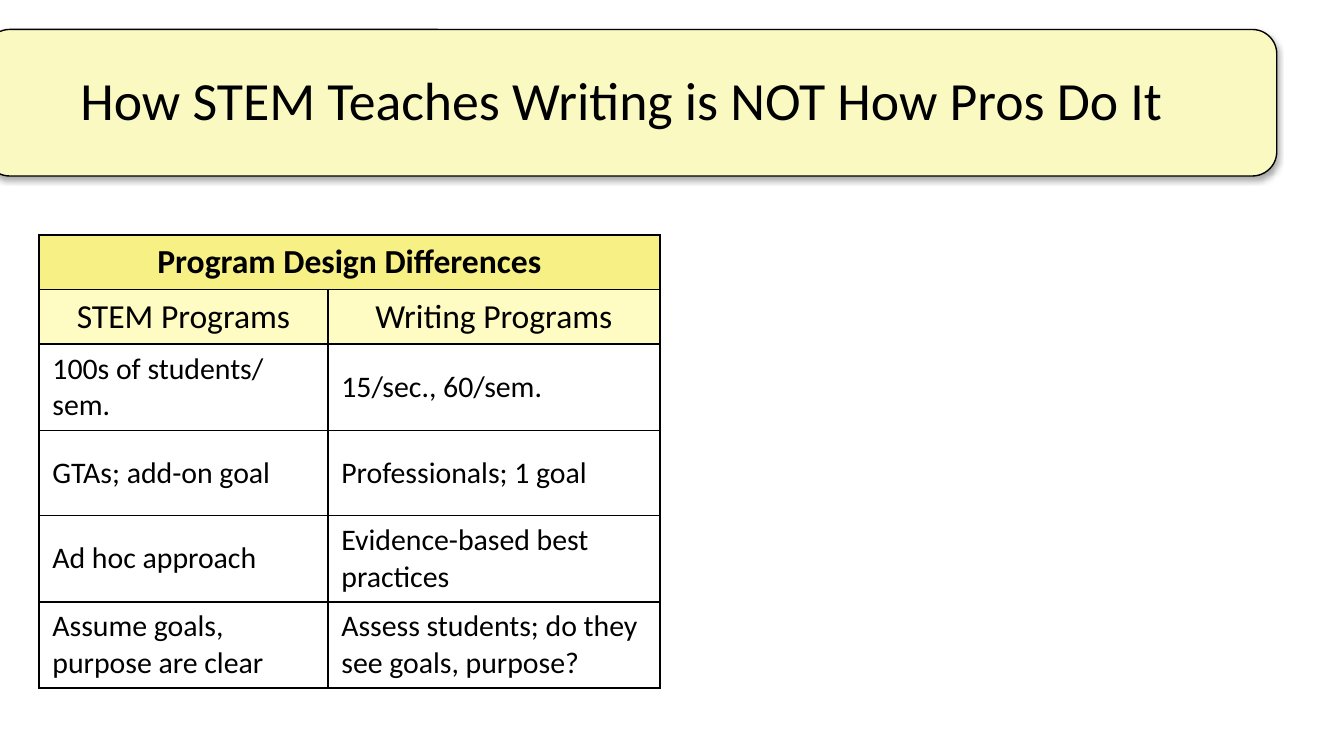
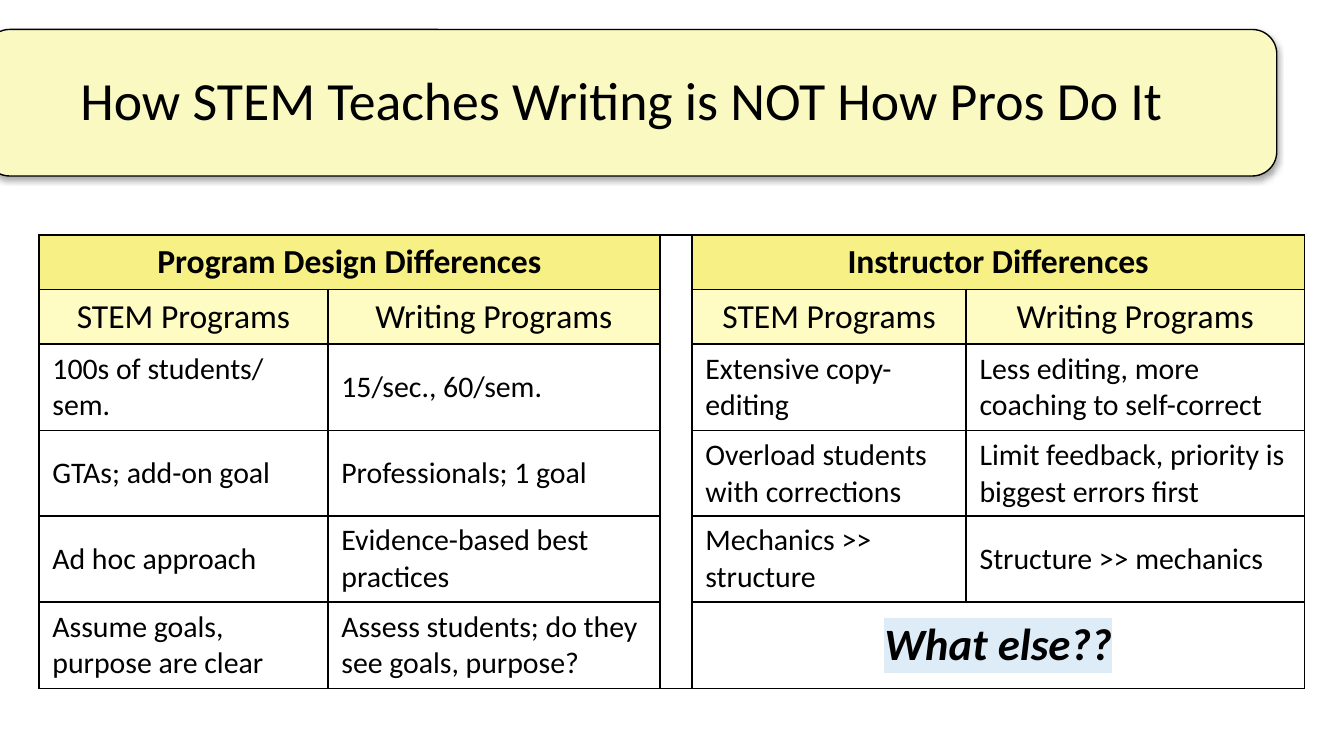
"""Build two slides comparing how STEM and writing programs teach writing."""
from lxml.etree import fromstring
from pptx import Presentation
from pptx.dml.color import RGBColor as Rgb
from pptx.enum.shapes import MSO_SHAPE as Form
from pptx.enum.text import MSO_ANCHOR as Anchor, PP_ALIGN as Align
from pptx.oxml.ns import nsdecls, qn
from pptx.util import Pt

TITLE = "How STEM Teaches Writing is NOT How Pros Do It"
HEADS = ("STEM Programs", "Writing Programs")
DESIGN = [
    ("Program Design Differences", None),
    HEADS,
    ("100s of students/ sem.", "15/sec., 60/sem."),
    ("GTAs; add-on goal", "Professionals; 1 goal"),
    ("Ad hoc approach", "Evidence-based best practices"),
    ("Assume goals, purpose are clear",
     "Assess students; do they see goals, purpose?"),
]
TEACH = [
    ("Instructor Differences", None),
    HEADS,
    ("Extensive copy-editing", "Less editing, more coaching to self-correct"),
    ("Overload students with corrections",
     "Limit feedback, priority is biggest errors first"),
    ("Mechanics >> structure", "Structure >> mechanics"),
    ("What else??", None),
]
BOTH = [left + ("",) + right for left, right in zip(DESIGN, TEACH)]
WIDTHS = (154.8, 177.8, 16.8, 146.9, 181.2)
HEIGHTS = (29.2, 29.2, 46.3, 45.4, 46.3, 46.3)
GAP = 2

FONT = "Calibri"
BLACK = Rgb(0x00, 0x00, 0x00)
WHITE = Rgb(0xFF, 0xFF, 0xFF)
BAND = Rgb(0xFA, 0xF9, 0xC2)
GOLD = Rgb(0xF7, 0xF0, 0x85)
CREAM = Rgb(0xFE, 0xFC, 0xC2)
MARK = Rgb(0xDE, 0xEC, 0xF7)
FILLS = {0: GOLD, 1: CREAM}


def add_run(para, text, size, bold=False, ital=False):
    run = para.add_run()
    run.text = text
    font = run.font
    font.name, font.size = FONT, Pt(size)
    font.bold, font.italic = bold, ital
    font.color.rgb = BLACK
    return run


def mark(run):
    fill = run._r.get_or_add_rPr().find(qn("a:solidFill"))
    fill.addnext(fromstring(
        f'<a:highlight {nsdecls("a")}><a:srgbClr val="{MARK}"/></a:highlight>'))


def add_band(slide):
    band = slide.shapes.add_shape(
        Form.ROUNDED_RECTANGLE, Pt(-7.9), Pt(15.8), Pt(691.9), Pt(78.5))
    band.fill.solid()
    band.fill.fore_color.rgb = BAND
    band.line.color.rgb = BLACK
    band.line.width = Pt(0.75)
    band.shadow.inherit = False
    band._element.spPr.find(qn("a:effectLst")).append(fromstring(
        f'<a:outerShdw {nsdecls("a")} blurRad="{Pt(3.1)}" dist="{Pt(1.8)}" '
        f'dir="5400000" rotWithShape="0"><a:srgbClr val="{BLACK}">'
        '<a:alpha val="35000"/></a:srgbClr></a:outerShdw>'))


def add_title(slide):
    box = slide.shapes.add_textbox(Pt(36), Pt(13.7), Pt(648), Pt(78.5))
    frame = box.text_frame
    frame.word_wrap = True
    frame.vertical_anchor = Anchor.MIDDLE
    add_run(frame.paragraphs[0], TITLE, 28.8)


def add_edges(cell):
    props = cell._tc.get_or_add_tcPr()
    for spot, side in enumerate("LRTB"):
        props.insert(spot, fromstring(
            f'<a:ln{side} {nsdecls("a")} w="{Pt(1)}"><a:solidFill>'
            f'<a:srgbClr val="{BLACK}"/></a:solidFill></a:ln{side}>'))


def fill_cell(cell, text, row, wide):
    if text and row in FILLS:
        cell.fill.solid()
        cell.fill.fore_color.rgb = FILLS[row]
    else:
        cell.fill.background()
    add_edges(cell)
    if not text:
        return
    para = cell.text_frame.paragraphs[0]
    if row in FILLS:
        para.alignment = Align.CENTER
        add_run(para, text, 18, bold=wide)
        return
    cell.vertical_anchor = Anchor.MIDDLE
    if wide:
        para.alignment = Align.CENTER
        mark(add_run(para, text, 24, bold=True, ital=True))
    else:
        add_run(para, text, 16)


def add_grid(slide, rows):
    wides = WIDTHS[:len(rows[0])]
    table = slide.shapes.add_table(
        len(rows), len(wides), Pt(20.9), Pt(126),
        Pt(sum(wides)), Pt(sum(HEIGHTS))).table
    table.first_row = table.horz_banding = False
    for col, width in zip(table.columns, wides):
        col.width = Pt(width)
    for line, height in zip(table.rows, HEIGHTS):
        line.height = Pt(height)
    for r, row in enumerate(rows):
        for c, text in enumerate(row):
            wide = row[c + 1:c + 2] == (None,)
            fill_cell(table.cell(r, c), text, r, wide)
            if wide:
                table.cell(r, c).merge(table.cell(r, c + 1))
    if len(wides) > GAP:
        table.cell(0, GAP).merge(table.cell(len(rows) - 1, GAP))


def main():
    deck = Presentation()
    deck.slide_width, deck.slide_height = Pt(720), Pt(405)
    for rows in (DESIGN, BOTH):
        slide = deck.slides.add_slide(deck.slide_layouts[6])
        slide.background.fill.solid()
        slide.background.fill.fore_color.rgb = WHITE
        add_band(slide)
        add_title(slide)
        add_grid(slide, rows)
    deck.save("out.pptx")


if __name__ == "__main__":
    main()
